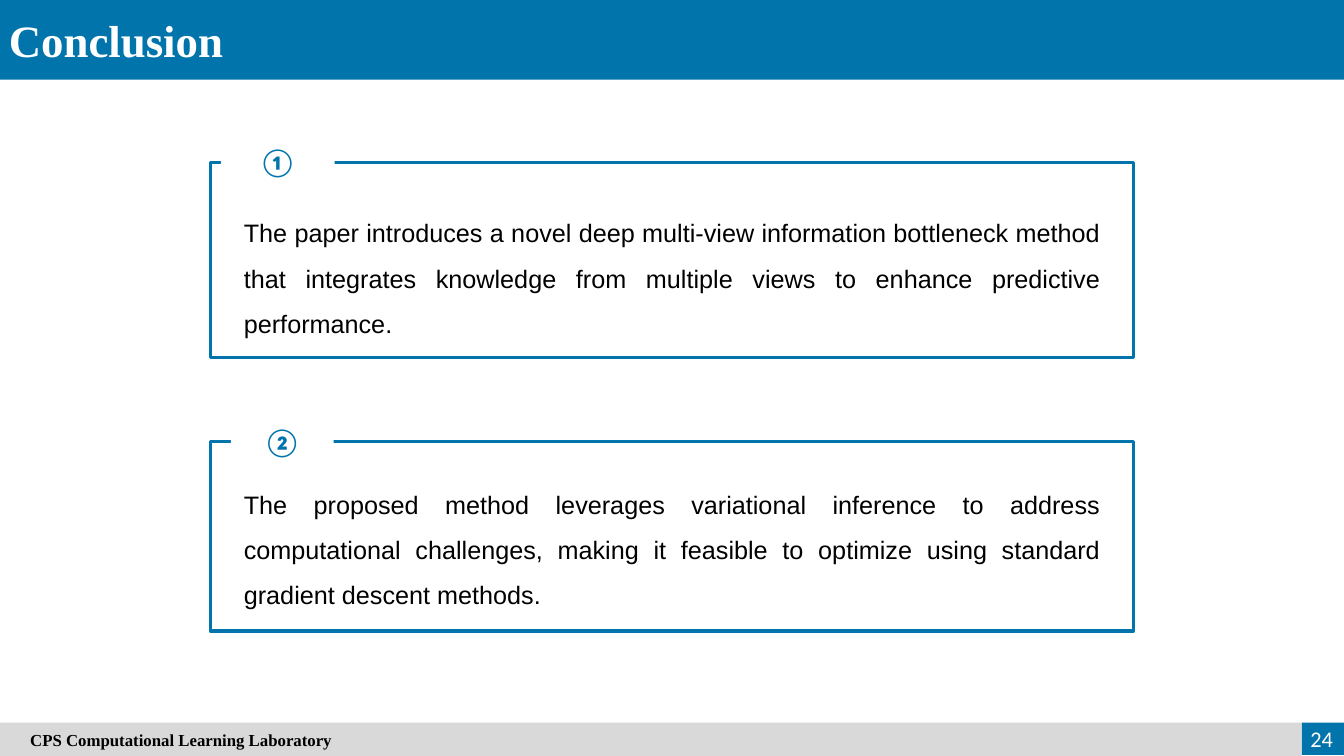
from pptx import Presentation
from pptx.dml.color import RGBColor
from pptx.enum import shapes, text
from pptx.util import Inches, Pt

COLORS = {"blue": "0174AB", "white": "FFFFFF", "black": "000000", "grey": "D9D9D9"}
ALIGN = text.PP_ALIGN
TOP, MIDDLE = text.MSO_ANCHOR.TOP, text.MSO_ANCHOR.MIDDLE

prs = Presentation()
prs.slide_width, prs.slide_height = Inches(13.33), Inches(7.5)
s = prs.slides.add_slide(prs.slide_layouts[6])


def add_rect(box, fill=None, line=None):
    sp = s.shapes.add_shape(shapes.MSO_SHAPE.RECTANGLE, *map(Inches, box))
    sp.shadow.inherit = False
    if fill:
        sp.fill.solid()
        sp.fill.fore_color.rgb = RGBColor.from_string(COLORS[fill])
    else:
        sp.fill.background()
    if line:
        sp.line.color.rgb = RGBColor.from_string(COLORS[line])
        sp.line.width = Pt(2.25)
    else:
        sp.line.fill.background()
    return sp


def write(sp, words, color, align, anchor=TOP, spacing=1.0, **font):
    tf = sp.text_frame
    tf.word_wrap = True
    tf.vertical_anchor = anchor
    p = tf.paragraphs[0]
    p.alignment, p.line_spacing = align, spacing
    r = p.add_run()
    r.text = words
    r.font.color.rgb = RGBColor.from_string(COLORS[color])
    for name, value in font.items():
        setattr(r.font, name, value)


add_rect((0, 0, 13.33, 0.79), "blue")
title = s.shapes.add_textbox(*map(Inches, (-0.01, 0.08, 5.37, 0.64)))
write(title, "Conclusion", "white", ALIGN.JUSTIFY,
      name="Times New Roman", size=Pt(32), bold=True)

conclusions = [
    ("①", 1.61, 1.94, 2.19, 1.13, 1.96,
     "The paper introduces a novel deep multi-view information bottleneck method "
     "that integrates knowledge from multiple views to enhance predictive performance."),
    ("②", 4.38, 1.88, 2.29, 1.02, 4.65,
     "The proposed method leverages variational inference to address computational "
     "challenges, making it feasible to optimize using standard gradient descent methods."),
]
for number, top, height, badge_left, badge_width, body_top, words in conclusions:
    add_rect((2.09, top, 9.15, height), line="blue")
    badge = add_rect((badge_left, top - 0.28, badge_width, 0.55), "white")
    write(badge, number, "blue", ALIGN.CENTER, MIDDLE,
          name="Calibri", size=Pt(20), bold=True)
    body = s.shapes.add_textbox(*map(Inches, (2.32, body_top, 8.69, 1.42)))
    write(body, words, "black", ALIGN.JUSTIFY, spacing=1.5, name="Arial", size=Pt(18))

add_rect((12.91, 7.17, 0.42, 0.32), "blue")
footer = add_rect((0, 7.17, 12.91, 0.33), "grey")
footer.text_frame.margin_left = Inches(0.3)
write(footer, "CPS Computational Learning Laboratory", "black", ALIGN.LEFT, MIDDLE,
      name="Times New Roman", size=Pt(12), bold=True)
page = s.shapes.add_textbox(*map(Inches, (12.69, 7.13, 0.63, 0.4)))
write(page, "24", "white", ALIGN.RIGHT, MIDDLE, name="Calibri", size=Pt(16))

prs.save("out.pptx")
